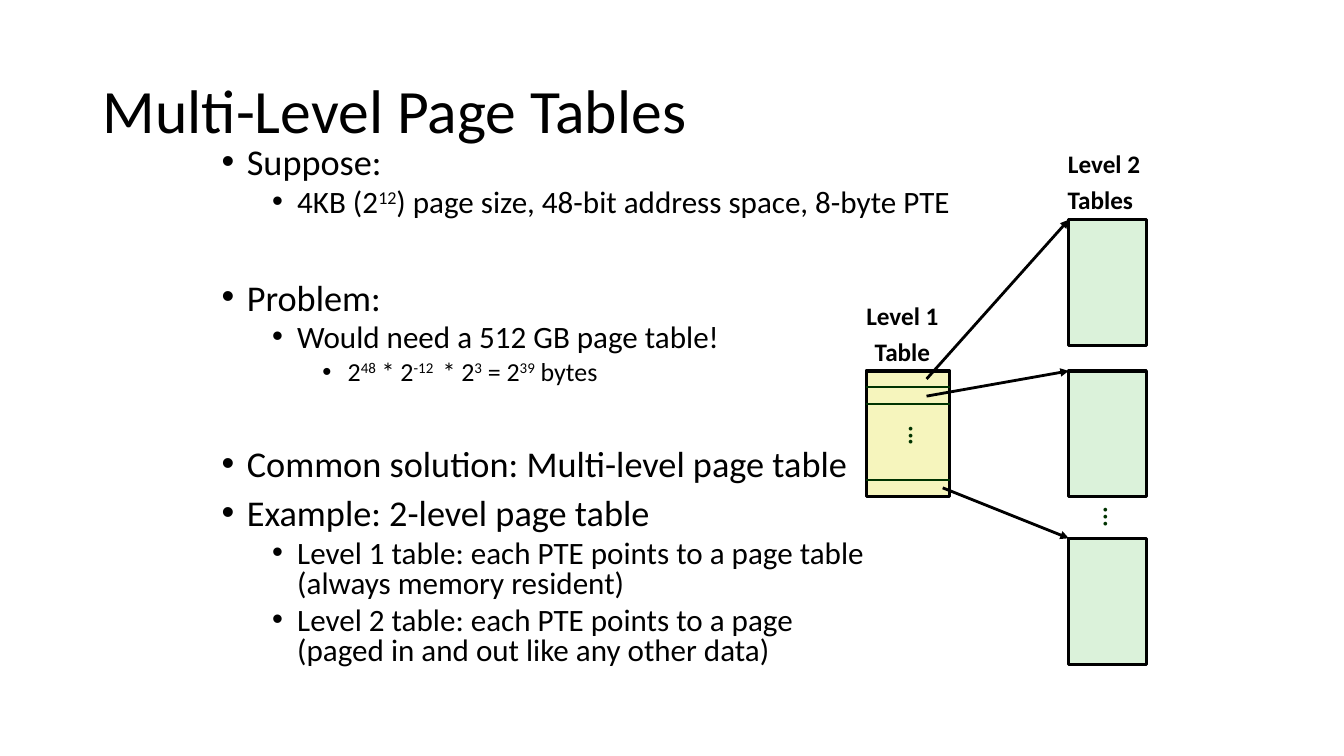
"""Build the slide on multi-level page tables."""
from lxml import etree
from pptx import Presentation
from pptx.dml.color import RGBColor
from pptx.enum.shapes import MSO_CONNECTOR, MSO_SHAPE
from pptx.enum.text import MSO_ANCHOR, PP_ALIGN
from pptx.oxml.ns import qn
from pptx.util import Inches, Pt

STRAIGHT = MSO_CONNECTOR.STRAIGHT
RECTANGLE = MSO_SHAPE.RECTANGLE
TOP, MIDDLE = MSO_ANCHOR.TOP, MSO_ANCHOR.MIDDLE
LEFT, CENTER = PP_ALIGN.LEFT, PP_ALIGN.CENTER

THEME = {
    "font": "Calibri",
    "black": RGBColor(0x00, 0x00, 0x00),
    "dark_green": RGBColor(0x00, 0x33, 0x00),
    "yellow": RGBColor(0xF6, 0xF5, 0xBD),
    "light_green": RGBColor(0xDB, 0xF2, 0xDA),
    "title_size": 44,
    "body_sizes": (25.9, 22.2, 18.5),
    "label_size": 18,
}

presentation = Presentation()
presentation.slide_width = Inches(13.33)
presentation.slide_height = Inches(7.5)
slide = presentation.slides.add_slide(presentation.slide_layouts[6])


def add_text(box, lines, anchor=TOP, wrap=True):
    """Add a text box; carets in a line enclose superscripts."""
    shape = slide.shapes.add_textbox(*map(Inches, box))
    frame = shape.text_frame
    frame.word_wrap = wrap
    frame.vertical_anchor = anchor
    for index, (text, paragraph_format, font_format) in enumerate(lines):
        paragraph = frame.add_paragraph() if index else frame.paragraphs[0]
        for name, value in paragraph_format.items():
            setattr(paragraph, name, value)
        for row, line in enumerate(text.split("\n")):
            if row:
                paragraph.add_line_break()
            for part, words in enumerate(line.split("^")):
                run = paragraph.add_run()
                run.text = words
                for name, value in font_format.items():
                    if name == "color":
                        run.font.color.rgb = value
                    else:
                        setattr(run.font, name, value)
                if part % 2:
                    run.font._element.set("baseline", "30000")
    return shape


def add_line(start, end, color, width, arrow=False):
    """Add a straight line, with an arrowhead at its end if asked."""
    connector = slide.shapes.add_connector(STRAIGHT, *map(Inches, start + end))
    connector.line.color.rgb = color
    connector.line.width = Pt(width)
    if arrow:
        etree.SubElement(connector.line._get_or_add_ln(), qn("a:tailEnd"), type="triangle")
    etree.SubElement(connector._element.spPr, qn("a:effectLst"))


plain_font = {"name": THEME["font"], "color": THEME["black"]}
title_font = plain_font | {"size": Pt(THEME["title_size"])}
add_text((0.92, 0.4, 11.5, 1.45),
         [("Multi-Level Page Tables", {"line_spacing": 0.9}, title_font)], MIDDLE)

GAP = 45.3
outline = [
    (0, 10, "Suppose:"),
    (1, 5, "4KB (2^12^) page size, 48-bit address space, 8-byte PTE"),
    (0, GAP, "Problem:"),
    (1, 5, "Would need a 512 GB page table!"),
    (2, 5, "2^48^ * 2^-12 ^ * 2^3^ = 2^39^ bytes"),
    (0, GAP, "Common solution: Multi-level page table"),
    (0, 10, "Example: 2-level page table"),
    (1, 5, "Level 1 table: each PTE points to a page table\n(always memory resident)"),
    (1, 5, "Level 2 table: each PTE points to a page\n(paged in and out like any other data)"),
]
body = add_text((2.1, 1.42, 7.57, 5.44), [
    (text, {"level": level, "line_spacing": 0.8, "space_before": Pt(space)},
     plain_font | {"size": Pt(THEME["body_sizes"][level])})
    for level, space, text in outline])
for (level, space, text), paragraph in zip(outline, body.text_frame.paragraphs):
    properties = paragraph._p.get_or_add_pPr()
    properties.set("marL", str(Inches(0.25 + 0.5 * level)))
    properties.set("indent", str(Inches(-0.25)))
    etree.SubElement(properties, qn("a:buFont"), typeface="Arial")
    etree.SubElement(properties, qn("a:buChar"), char="•")

label_paragraph = {"line_spacing": 0.88, "space_before": Pt(6.8)}
label_font = plain_font | {"size": Pt(THEME["label_size"]), "bold": True}
labels = [
    (8.49, 2.97, (("Level 1", CENTER), ("Table", CENTER))),
    (10.49, 1.46, (("Level 2", CENTER), ("Tables", LEFT))),
]
for left, top, lines in labels:
    add_text((left, top, 0.92, 0.73),
             [(text, label_paragraph | {"alignment": alignment}, label_font)
              for text, alignment in lines], wrap=False)

level_1_left, level_1_top, level_1_width = 8.59, 3.68, 0.83
level_2_left, level_2_width, table_height = 10.6, 0.77, 1.25
level_2_tops = (2.18, 3.68, 5.34)
tables = [(level_1_left, level_1_top, level_1_width, THEME["yellow"])]
tables += [(level_2_left, top, level_2_width, THEME["light_green"]) for top in level_2_tops]
for left, top, width, fill in tables:
    shape = slide.shapes.add_shape(RECTANGLE, *map(Inches, (left, top, width, table_height)))
    shape.shadow.inherit = False
    shape.fill.solid()
    shape.fill.fore_color.rgb = fill
    shape.line.color.rgb = THEME["black"]
    shape.line.width = Pt(2.25)

dots_font = label_font | {"color": THEME["dark_green"]}
for left, top in ((8.77, 4.14), (10.7, 4.95)):
    dots = add_text((left, top, 0.4, 0.36), [("...", label_paragraph, dots_font)], wrap=False)
    dots.rotation = 270

entry_points = ((9.19, 3.76), (9.19, 3.93), (9.35, 4.84))
for start, top in zip(entry_points, level_2_tops):
    add_line(start, (level_2_left, top), THEME["black"], 2, arrow=True)

for top in (3.84, 4.01, 4.76):
    add_line((level_1_left, top), (level_1_left + level_1_width, top), THEME["dark_green"], 1.5)

presentation.save("out.pptx")
